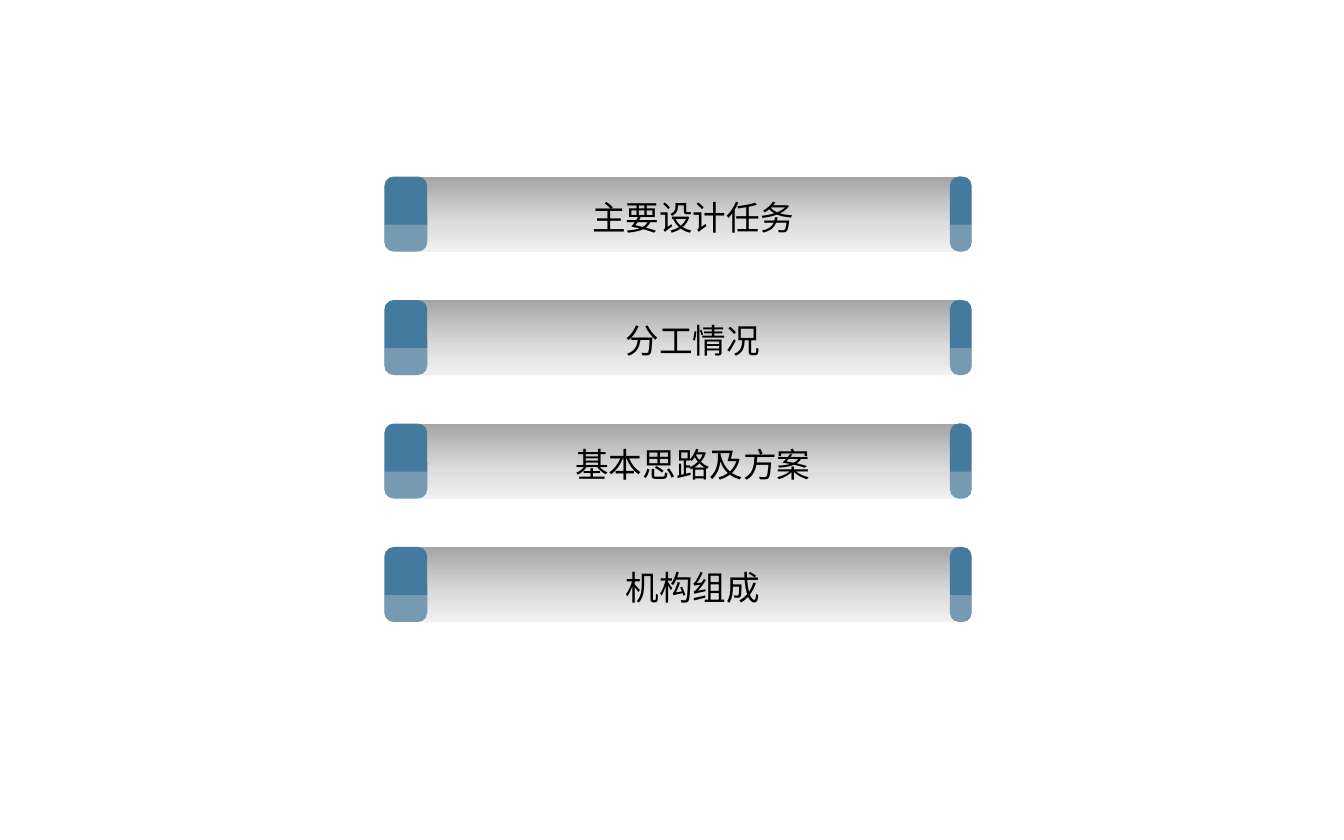
from dataclasses import dataclass

from lxml.etree import SubElement
from pptx import Presentation
from pptx.dml.color import RGBColor
from pptx.enum.shapes import MSO_SHAPE
from pptx.enum.text import MSO_ANCHOR, PP_ALIGN
from pptx.oxml.ns import qn
from pptx.util import Pt


@dataclass(frozen=True)
class Theme:
    blue: RGBColor = RGBColor.from_string("447A9E")
    light: RGBColor = RGBColor.from_string("FFFFFF")
    dark: RGBColor = RGBColor.from_string("A5A5A5")
    gloss: RGBColor = RGBColor.from_string("D8D8D8")
    ink: RGBColor = RGBColor.from_string("000000")
    face: str = "Arial"
    size: int = 18


THEME = Theme()
TOPICS = ("主要设计任务", "分工情况", "基本思路及方案", "机构组成")
TOP, PITCH, HIGH = 94.6, 66.15, 40.2
LEFT, WIDE = 205.9, 314.6


def apply(target, values):
    for name, value in values.items():
        setattr(target, name, value)


def add_form(group, kind, box, bends=()):
    form = group.shapes.add_shape(kind, *map(Pt, box))
    form.shadow.inherit = False
    form.line.fill.background()
    for index, bend in enumerate(bends):
        form.adjustments[index] = bend
    return form


def add_bar(group, top):
    bar = add_form(group, MSO_SHAPE.RECTANGLE, (214.6, top, 300.2, HIGH))
    bar.fill.gradient()
    bar.fill.gradient_angle = 90
    for stop, tone in zip(bar.fill.gradient_stops, (THEME.light, THEME.dark)):
        stop.color.rgb = tone


def add_cap(group, left, top, width, bend):
    box = (left, top, width, HIGH)
    cap = add_form(group, MSO_SHAPE.ROUNDED_RECTANGLE, box, (bend,))
    cap.fill.solid()
    cap.fill.fore_color.rgb = THEME.blue


def add_gloss(group, top):
    box = (LEFT, top + 25.8, WIDE, 14.6)
    band = add_form(group, MSO_SHAPE.ROUND_2_SAME_RECTANGLE, box, (0, 0.4))
    band.fill.solid()
    band.fill.fore_color.rgb = THEME.gloss
    tone = band.fill._xPr.find(".//" + qn("a:srgbClr"))
    SubElement(tone, qn("a:alpha")).set("val", "34000")


def add_label(group, top, text):
    label = group.shapes.add_textbox(*map(Pt, (298.1, top + 9, 146.2, 25.2)))
    frame = label.text_frame
    apply(frame, {
        "word_wrap": True,
        "vertical_anchor": MSO_ANCHOR.MIDDLE,
        "text": text,
    })
    line = frame.paragraphs[0]
    line.alignment = PP_ALIGN.CENTER
    font = line.runs[0].font
    apply(font, {"name": THEME.face, "size": Pt(THEME.size)})
    font.color.rgb = THEME.ink


def add_topic(slide, top, text):
    group = slide.shapes.add_group_shape()
    add_bar(group, top)
    add_cap(group, LEFT, top, 23, 0.22)
    add_cap(group, LEFT + WIDE - 11.6, top, 11.6, 0.42)
    add_gloss(group, top)
    add_label(group, top, text)


def main():
    deck = Presentation()
    apply(deck, {"slide_width": Pt(720), "slide_height": Pt(450)})
    slide = deck.slides.add_slide(deck.slide_layouts.get_by_name("Blank"))
    for index, text in enumerate(TOPICS):
        add_topic(slide, TOP + index * PITCH, text)
    deck.save("out.pptx")


if __name__ == "__main__":
    main()
